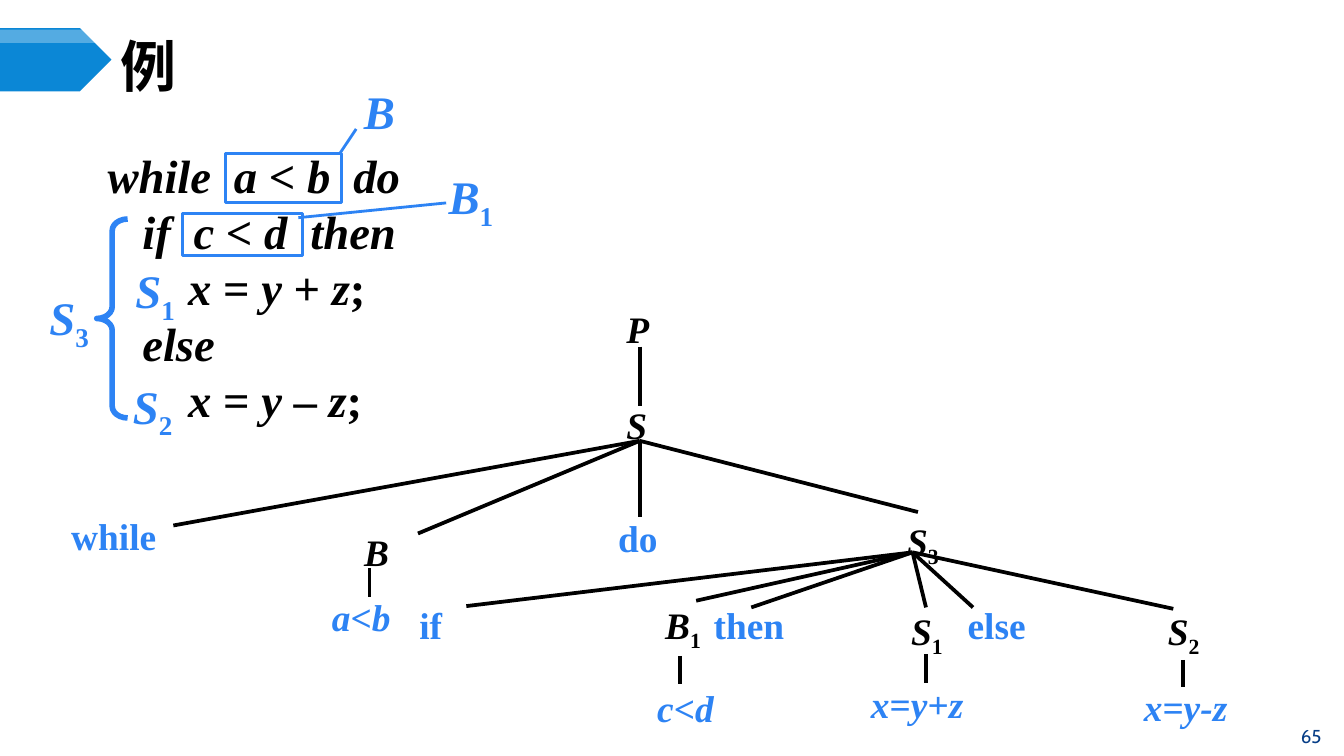
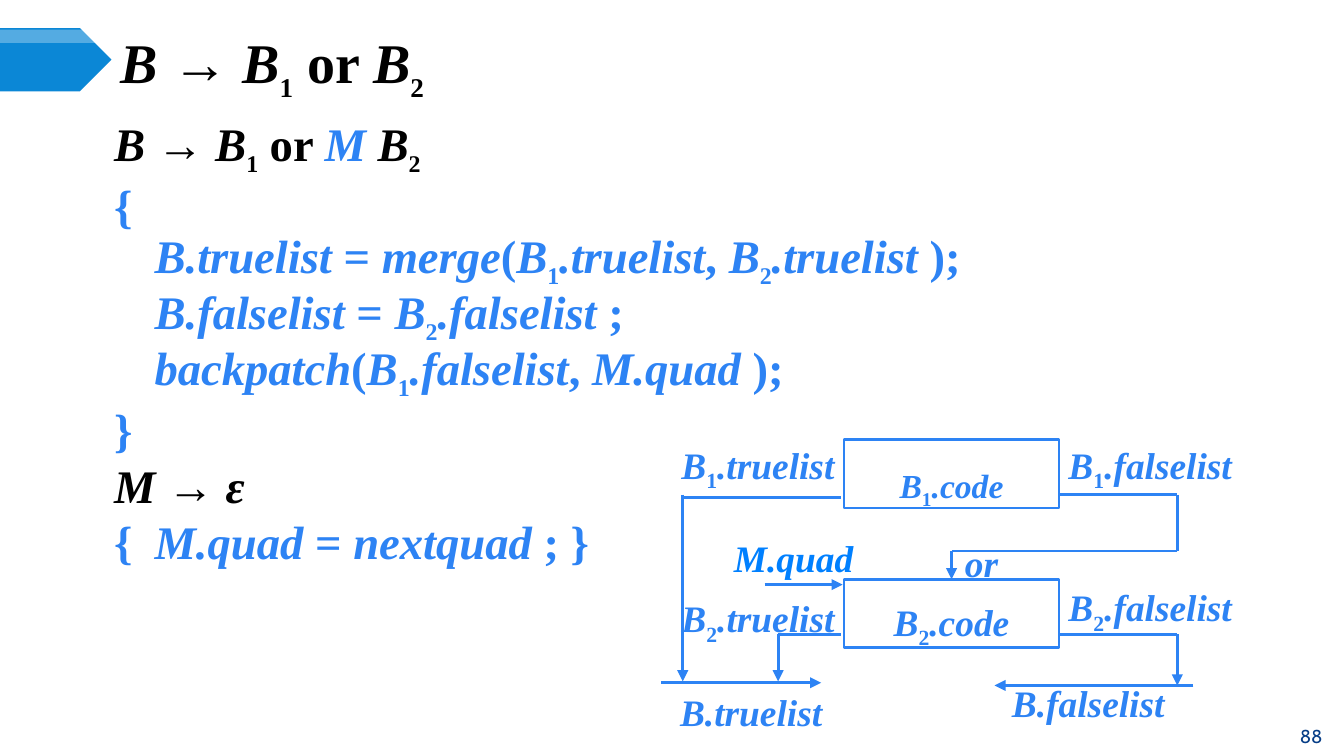
from dataclasses import dataclass
from typing import Iterator, NamedTuple

from lxml.etree import SubElement
from pptx import Presentation
from pptx.dml.color import RGBColor
from pptx.enum.shapes import MSO_CONNECTOR, MSO_SHAPE
from pptx.enum.text import MSO_ANCHOR as Anchor, PP_ALIGN as Align
from pptx.oxml.ns import qn
from pptx.util import Pt

# Lengths are px, 100 to the inch; the slide is 16:9
SCALE = 9144
WIDTH = 1000

COLORS = {
    "black": "000000",
    "white": "FFFFFF",
    "accent": "2D83F4",
    "bright": "0080FF",
    "band": "0B87D6",
    "number": "073E87",
}
SERIF, CJK, NUMBER_FONT = "Times New Roman", "Noto Sans CJK SC", "Cabin"

# Insets: horizontal, vertical
WIDE, NORMAL, TIGHT = (10, 5), (7, 4), (7, 1)


class Box(NamedTuple):
    x: int
    y: int
    w: int
    h: int


class Line(NamedTuple):
    x1: int
    y1: int
    x2: int
    y2: int
    arrow: bool = False


@dataclass(frozen=True)
class Label:
    text: str
    box: Box
    color: str = "accent"
    spacing: float | None = None


def px(value: int) -> int:
    return value * SCALE


def rgb(name: str) -> RGBColor:
    return RGBColor.from_string(COLORS[name])


def styled_pieces(markup: str) -> Iterator[tuple[str, bool, bool, bool]]:
    """Split markup: *italic*, _subscript_, ^accent colour^."""
    flags = {"*": False, "_": False, "^": False}
    piece = ""
    for character in markup:
        if character not in flags:
            piece += character
            continue
        if piece:
            yield piece, *flags.values()
        piece = ""
        flags[character] = not flags[character]
    if piece:
        yield piece, *flags.values()


def write(shape, *lines: str, size=20, sub_size=None, lower=25, color="black",
          font=SERIF, bold=True, align=None, anchor=Anchor.TOP, insets=NORMAL,
          spacing=None, before=0, hanging=0, tabs=()) -> None:
    frame = shape.text_frame
    frame.word_wrap = True
    frame.vertical_anchor = anchor
    frame.margin_left = frame.margin_right = px(insets[0])
    frame.margin_top = frame.margin_bottom = px(insets[1])
    for index, markup in enumerate(lines):
        paragraph = frame.add_paragraph() if index else frame.paragraphs[0]
        properties = paragraph._p.get_or_add_pPr()
        if hanging:
            properties.set("marL", str(px(hanging)))
            properties.set("indent", str(-px(hanging)))
        if tabs:
            stops = SubElement(properties, qn("a:tabLst"))
            for stop in tabs[index]:
                SubElement(stops, qn("a:tab"), pos=str(px(stop)), algn="l")
        paragraph.alignment = align
        paragraph.line_spacing = spacing
        paragraph.space_before = Pt(before if index else 0)
        for text, italic, lowered, accent in styled_pieces(markup):
            run = paragraph.add_run()
            run.text = text
            run.font.size = Pt(sub_size if lowered and sub_size else size)
            run.font.name = font
            run.font.bold, run.font.italic = bold, italic
            run.font.color.rgb = rgb("accent" if accent else color)
            run_properties = run._r.get_or_add_rPr()
            SubElement(run_properties, qn("a:ea"), typeface=font)
            if lowered:
                run_properties.set("baseline", str(-lower * 1000))


def add_text(slide, box: Box, *lines: str, **style):
    shape = slide.shapes.add_textbox(*map(px, box))
    write(shape, *lines, **style)
    return shape


def add_labels(slide, labels: list[Label], **style) -> None:
    for label in labels:
        add_text(slide, label.box, label.text, color=label.color,
                 spacing=label.spacing, **style)


def add_preset(slide, preset, box: Box, fill=None, line=None, width=1.5):
    shape = slide.shapes.add_shape(preset, *map(px, box))
    shape.shadow.inherit = False
    if fill:
        shape.fill.solid()
        shape.fill.fore_color.rgb = rgb(fill)
    else:
        shape.fill.background()
    if line:
        shape.line.color.rgb = rgb(line)
        shape.line.width = Pt(width)
    else:
        shape.line.fill.background()
    return shape


def add_line(slide, line: Line, color="accent", width=1.5):
    connector = slide.shapes.add_connector(
        MSO_CONNECTOR.STRAIGHT, *map(px, line[:4]))
    connector.line.color.rgb = rgb(color)
    connector.line.width = Pt(width)
    if line.arrow:
        SubElement(connector.line._get_or_add_ln(), qn("a:tailEnd"), type="triangle")
    SubElement(connector._element.spPr, qn("a:effectLst"))
    return connector


def start_slide(presentation, title: str, number: int, title_font=SERIF):
    """Add a blank slide with the band, title and page number."""
    slide = presentation.slides.add_slide(presentation.slide_layouts[6])
    add_preset(slide, MSO_SHAPE.PENTAGON, Box(0, 21, 83, 47), "band")
    gloss = add_preset(slide, MSO_SHAPE.PENTAGON, Box(0, 22, 83, 10), "white")
    tint = gloss._element.spPr.find(qn("a:solidFill"))[0]
    SubElement(tint, qn("a:alpha"), val="30000")
    add_text(slide, Box(83, 29, 867, 39), title, size=30, sub_size=25, lower=30,
             font=title_font, anchor=Anchor.MIDDLE)
    add_text(slide, Box(953, 533, 45, 30), str(number), size=10, color="number",
             font=NUMBER_FONT, bold=False, align=Align.CENTER, anchor=Anchor.MIDDLE)
    return slide


def node(text: str, x: int, y: int) -> Label:
    return Label(text, Box(x, y, 47, 30), "black", 0.8)


def build_example_slide(presentation) -> None:
    slide = start_slide(presentation, "例", 65, CJK)

    # Program text
    add_text(slide, Box(72, 112, 392, 168),
             "*while\ta* < *b\tdo*",
             "\t*if\tc* < *d\tthen*",
             "\t*x* = *y* + *z*;",
             "\t*else*",
             "\t*x* = *y* – *z*;",
             size=25, insets=(8, 4), spacing=Pt(25), before=5,
             tabs=((94, 183), (26, 64, 151), (60,), (26,), (60,)))

    # Marks on the program
    add_labels(slide, [
        Label("*S*_1_", Box(91, 190, 76, 52)),
        Label("*S*_2_", Box(89, 276, 69, 52)),
        Label("*S*_3_", Box(27, 210, 63, 53)),
        Label("*B*", Box(261, 57, 47, 52)),
        Label("*B*_1_", Box(324, 120, 73, 52)),
    ], size=25, insets=WIDE)
    brace = add_preset(slide, MSO_SHAPE.LEFT_BRACE, Box(72, 163, 23, 148),
                       line="accent", width=3)
    brace.adjustments[0] = 0.38
    for condition in (Box(168, 114, 86, 37), Box(136, 159, 89, 31)):
        add_preset(slide, MSO_SHAPE.RECTANGLE, condition, line="accent")
    for pointer in (Line(265, 96, 253, 114), Line(332, 151, 222, 162)):
        add_line(slide, pointer)

    # Tree edges: fans from S and S3, then single drops
    fans = {
        (476, 328): [(129, 391), (311, 397), (476, 385), (683, 381)],
        (679, 411): [(347, 451), (518, 447), (559, 452), (689, 452),
                     (724, 452), (873, 453)],
    }
    drops = [(476, 258, 44), (275, 423, 21), (506, 488, 21),
             (689, 487, 21), (880, 491, 20)]
    edges = [Line(*hub, *end) for hub, ends in fans.items() for end in ends]
    edges += [Line(x, y, x, y + length) for x, y, length in drops]
    for edge in edges:
        add_line(slide, edge, "black", 2)

    # Tree labels
    add_labels(slide, [
        node("*P*", 459, 233),
        node("*S*", 459, 305),
        node("*B*", 264, 399),
        node("*S*_3_", 668, 388),
        node("*S*_1_", 671, 455),
        node("*S*_2_", 862, 455),
        Label("*B*_1_", Box(488, 447, 47, 24), "black"),
        Label("while", Box(46, 381, 83, 30)),
        Label("do", Box(453, 382, 47, 24)),
        Label("if", Box(305, 447, 47, 24)),
        Label("then", Box(524, 447, 71, 28)),
        Label("else", Box(713, 447, 59, 28)),
        Label("*a*<*b*", Box(240, 441, 65, 27)),
        Label("*c<d*", Box(482, 509, 65, 27)),
        Label("*x*=*y*+*z*", Box(641, 506, 89, 27)),
        Label("*x=y-z*", Box(844, 508, 89, 27)),
    ], insets=TIGHT, align=Align.JUSTIFY)


def build_or_slide(presentation) -> None:
    slide = start_slide(presentation, "*B* → *B*_1_ or *B*_2_", 88)

    # Translation scheme
    add_text(slide, Box(78, 86, 695, 353),
             "*B* → *B*_1_ or ^*M*^ *B*_2_",
             "^{^",
             "^\t*B.truelist* = *merge*(*B*_1_*.truelist*, *B*_2_*.truelist* );^",
             "^\t*B.falselist* = *B*_2_*.falselist* ;^",
             "^\t*backpatch*(*B*_1_*.falselist*, *M.quad* );^",
             "^}^",
             "*M* → *ε*",
             "^{\t*M.quad* = *nextquad* ; }^",
             size=25, sub_size=22, spacing=Pt(30), hanging=30, align=Align.JUSTIFY)

    # Flow lines
    for line in (
        Line(569, 435, 627, 435, True),
        Line(492, 508, 611, 508, True),
        Line(508, 370, 626, 370),
        Line(508, 368, 508, 507, True),
        Line(579, 472, 626, 472),
        Line(579, 472, 579, 507, True),
        Line(788, 368, 876, 368),
        Line(876, 368, 876, 410),
        Line(876, 410, 708, 410),
        Line(788, 472, 876, 472),
        Line(876, 472, 876, 510, True),
        Line(888, 510, 740, 510, True),
    ):
        add_line(slide, line)

    # List names
    add_labels(slide, [
        Label("*M.quad*", Box(539, 394, 106, 41), "bright"),
        Label("*B*_1_*.truelist*", Box(500, 325, 147, 41)),
        Label("*B*_2_*.truelist*", Box(500, 439, 165, 41)),
        Label("*B*_1_*.falselist*", Box(788, 325, 142, 41)),
        Label("*B*_2_*.falselist*", Box(788, 431, 142, 41)),
        Label("*B.truelist*", Box(499, 509, 127, 41)),
        Label("*B.falselist*", Box(746, 502, 130, 41)),
        Label("*or*", Box(711, 398, 62, 41)),
    ])

    # Code boxes, the second entered from above
    for text, top, size in (("*B*_1_*.code*", 327, 18), ("*B*_2_*.code*", 431, 20)):
        code_box = add_preset(slide, MSO_SHAPE.RECTANGLE, Box(628, top, 160, 51),
                              "white", "accent")
        write(code_box, text, size=size, color="accent", align=Align.CENTER,
              spacing=Pt(35))
    entry = add_line(slide, Line(708, 410, 708, 431, True))
    entry.end_connect(code_box, 0)


def main() -> None:
    presentation = Presentation()
    presentation.slide_width = px(WIDTH)
    presentation.slide_height = px(WIDTH) * 9 // 16
    build_example_slide(presentation)
    build_or_slide(presentation)
    presentation.save("out.pptx")


if __name__ == "__main__":
    main()
